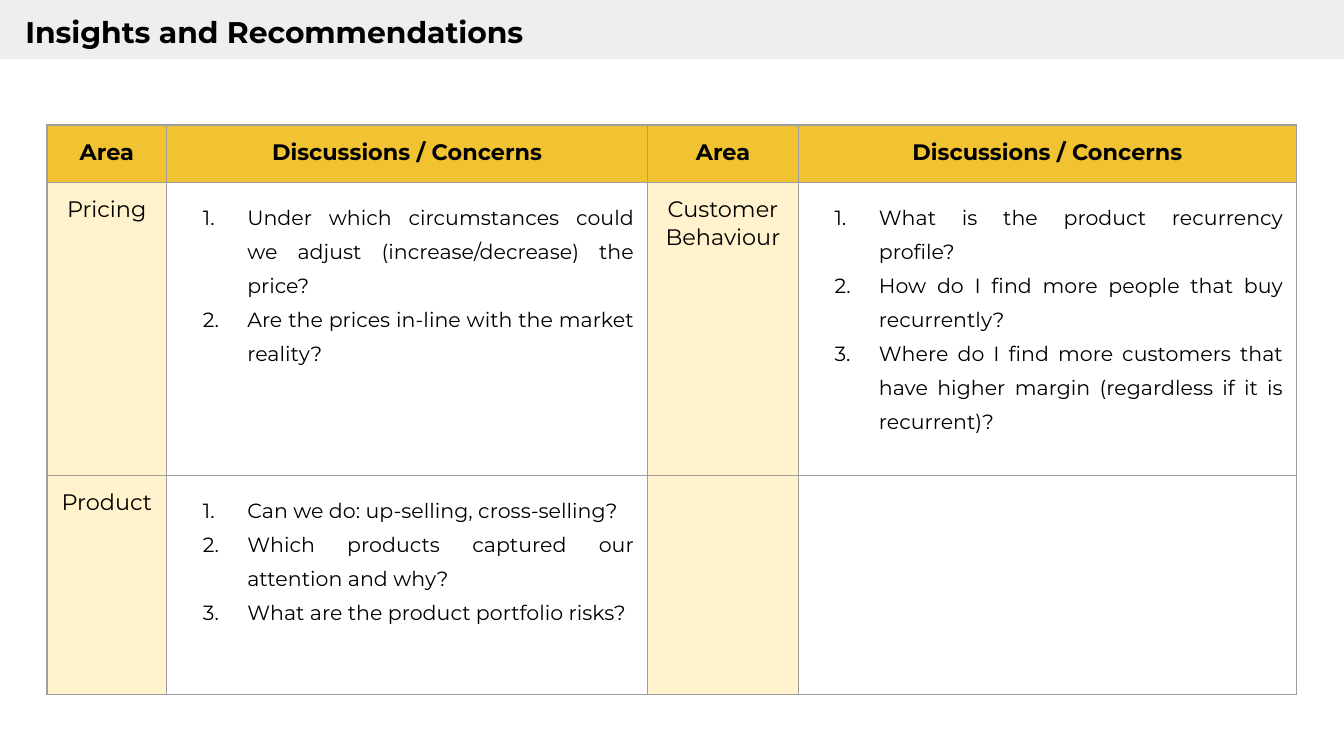
from lxml.etree import SubElement
from pptx import Presentation
from pptx.dml.color import RGBColor
from pptx.enum.shapes import MSO_SHAPE
from pptx.enum.text import MSO_AUTO_SIZE, PP_ALIGN
from pptx.oxml.ns import qn
from pptx.util import Inches, Pt

FONT = "Montserrat"
BLACK = RGBColor(0x00, 0x00, 0x00)
LIGHT_GREY = RGBColor(0xEE, 0xEE, 0xEE)
BORDER_GREY = RGBColor(0x9E, 0x9E, 0x9E)
GOLD = RGBColor(0xF1, 0xC2, 0x32)
CREAM = RGBColor(0xFF, 0xF2, 0xCC)

COLUMN_WIDTHS = [0.89, 3.58, 1.12, 3.71]
ROW_HEIGHTS = [0.43, 2.18, 1.63]
# Each cell holds a list of paragraphs.
ROWS = [
    [["Area"], ["Discussions / Concerns"]] * 2,
    [
        ["Pricing"],
        [
            "Under which circumstances could we adjust (increase/decrease) the price?",
            "Are the prices in-line with the market reality?",
        ],
        ["Customer Behaviour"],
        [
            "What is the product recurrency profile?",
            "How do I find more people that buy recurrently?",
            "Where do I find more customers that have higher margin "
            "(regardless if it is recurrent)?",
        ],
    ],
    [
        ["Product"],
        [
            "Can we do: up-selling, cross-selling?",
            "Which products captured our attention and why?",
            "What are the product portfolio risks?",
        ],
        [],
        [],
    ],
]


def add_text(paragraph, text, size, bold=False):
    run = paragraph.add_run()
    run.text = text
    run.font.name = FONT
    run.font.size = Pt(size)
    run.font.bold = bold
    run.font.color.rgb = BLACK


def number_paragraph(paragraph):
    """Turn a paragraph into a justified item of a numbered list."""
    paragraph.alignment = PP_ALIGN.JUSTIFY
    paragraph.line_spacing = 1.36
    properties = paragraph._p.get_or_add_pPr()
    properties.set("marL", str(Inches(0.5)))
    properties.set("indent", str(Inches(-0.33)))
    bullet_color = SubElement(properties, qn("a:buClr"))
    SubElement(bullet_color, qn("a:srgbClr"), val=str(BLACK))
    SubElement(properties, qn("a:buFont"), typeface=FONT)
    SubElement(properties, qn("a:buAutoNum"), type="arabicPeriod")


# A 16:9 slide
presentation = Presentation()
presentation.slide_width = Inches(10)
presentation.slide_height = Inches(10 * 9 / 16)
slide = presentation.slides.add_slide(presentation.slide_layouts[6])

# Title band
band = slide.shapes.add_shape(
    MSO_SHAPE.RECTANGLE, 0, 0, presentation.slide_width, Inches(0.44)
)
band.shadow.inherit = False
band.fill.solid()
band.fill.fore_color.rgb = LIGHT_GREY
band.line.fill.background()

title = slide.shapes.add_textbox(Inches(0.09), 0, Inches(4.74), Inches(0.47))
title_frame = title.text_frame
title_frame.word_wrap = True
title_frame.auto_size = MSO_AUTO_SIZE.SHAPE_TO_FIT_TEXT
title_frame.margin_left = title_frame.margin_right = Inches(0.1)
title_frame.margin_top = title_frame.margin_bottom = Inches(0.1)
add_text(title_frame.paragraphs[0], "Insights and Recommendations", 16, bold=True)

# Discussion table
table = slide.shapes.add_table(
    len(ROW_HEIGHTS), len(COLUMN_WIDTHS), Inches(0.35), Inches(0.93),
    Inches(sum(COLUMN_WIDTHS)), Inches(sum(ROW_HEIGHTS)),
).table
table.horz_banding = False
for column, width in zip(table.columns, COLUMN_WIDTHS):
    column.width = Inches(width)
for row, height in zip(table.rows, ROW_HEIGHTS):
    row.height = Inches(height)

for row_index, row_texts in enumerate(ROWS):
    for column_index, texts in enumerate(row_texts):
        cell = table.cell(row_index, column_index)
        is_header = row_index == 0
        is_area = column_index % 2 == 0
        cell.margin_left = cell.margin_right = Inches(0.1)
        cell.margin_top = cell.margin_bottom = Inches(0.1)

        # Borders come before the fill in the cell properties
        cell_properties = cell._tc.get_or_add_tcPr()
        for side in ("lnL", "lnR", "lnT", "lnB"):
            border = SubElement(cell_properties, qn(f"a:{side}"), w=str(Pt(0.75)))
            border_fill = SubElement(border, qn("a:solidFill"))
            SubElement(border_fill, qn("a:srgbClr"), val=str(BORDER_GREY))
        if is_header or is_area:
            cell.fill.solid()
            cell.fill.fore_color.rgb = GOLD if is_header else CREAM
        else:
            cell.fill.background()

        frame = cell.text_frame
        for index, text in enumerate(texts):
            paragraph = frame.add_paragraph() if index else frame.paragraphs[0]
            if is_header or is_area:
                paragraph.alignment = PP_ALIGN.CENTER
                add_text(paragraph, text, 12, bold=is_header)
            else:
                number_paragraph(paragraph)
                add_text(paragraph, text, 11)

presentation.save("out.pptx")
